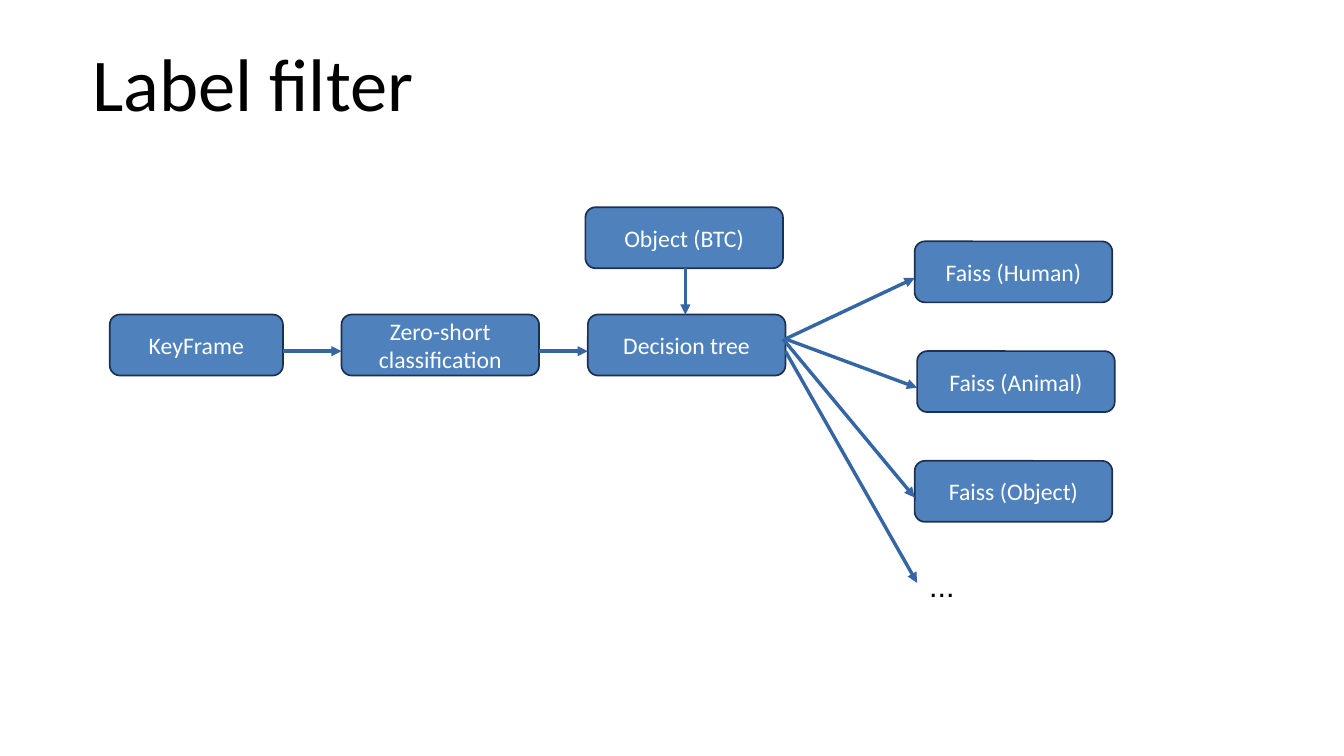
import pptx
import pptx.util
import pptx.dml.color
import pptx.enum.shapes
import pptx.enum.text
import pptx.oxml.ns
import lxml.etree

Inches = pptx.util.Inches
Pt = pptx.util.Pt
RGBColor = pptx.dml.color.RGBColor
ANCHOR = pptx.enum.text.MSO_ANCHOR
qn = pptx.oxml.ns.qn

BLACK = RGBColor(0x00, 0x00, 0x00)
WHITE = RGBColor(0xFF, 0xFF, 0xFF)
BOX_BLUE = RGBColor(0x4F, 0x81, 0xBD)
BOX_EDGE = RGBColor(0x1C, 0x30, 0x52)
ARROW_BLUE = RGBColor(0x34, 0x65, 0xA4)


class FlowSlide:
    """Holds the diagram style and the slide it is drawn on."""

    font = "Calibri"
    box_height = 0.5

    def __init__(self, slide):
        self.shapes = slide.shapes

    def add_words(self, paragraph, words, size, color, font=None):
        run = paragraph.add_run()
        run.text = words
        run.font.name = font or self.font
        run.font.size = Pt(size)
        run.font.color.rgb = color

    def text(self, words, left, top, width, height, size,
             font=None, wrap=True, anchor=ANCHOR.TOP, spacing=1.0):
        area = self.shapes.add_textbox(
            Inches(left), Inches(top), Inches(width), Inches(height))
        frame = area.text_frame
        frame.word_wrap = wrap
        frame.vertical_anchor = anchor
        frame.paragraphs[0].line_spacing = spacing
        self.add_words(frame.paragraphs[0], words, size, BLACK, font)

    def box(self, words, left, top, width=1.62):
        step = self.shapes.add_shape(
            pptx.enum.shapes.MSO_SHAPE.ROUNDED_RECTANGLE,
            Inches(left), Inches(top), Inches(width), Inches(self.box_height))
        step.shadow.inherit = False
        step.fill.solid()
        step.fill.fore_color.rgb = BOX_BLUE
        step.line.color.rgb = BOX_EDGE
        step.line.width = Pt(1)
        frame = step.text_frame
        frame.word_wrap = True
        frame.vertical_anchor = ANCHOR.MIDDLE
        frame.paragraphs[0].alignment = pptx.enum.text.PP_ALIGN.CENTER
        self.add_words(frame.paragraphs[0], words, 14, WHITE)

    def arrow(self, x1, y1, x2, y2):
        link = self.shapes.add_connector(
            pptx.enum.shapes.MSO_CONNECTOR.STRAIGHT,
            Inches(x1), Inches(y1), Inches(x2), Inches(y2))
        link.line.color.rgb = ARROW_BLUE
        link.line.width = Pt(0)  # hairline
        properties = link._element.spPr
        outline = properties.find(qn("a:ln"))
        lxml.etree.SubElement(outline, qn("a:tailEnd"), type="triangle")
        lxml.etree.SubElement(properties, qn("a:effectLst"))


def main():
    deck = pptx.Presentation()
    deck.slide_width = Inches(11.02)
    deck.slide_height = Inches(6.2)
    flow = FlowSlide(deck.slides.add_slide(deck.slide_layouts[6]))

    # Title
    flow.text("Label filter", 0.66, 0.12, 9.51, 1.2, 44,
              anchor=ANCHOR.MIDDLE, spacing=0.9)

    # Main row, with the object input above the decision tree
    row_top = 2.58
    flow.box("KeyFrame", 0.9, row_top, width=1.42)
    flow.box("Zero-short classification", 2.8, row_top)
    flow.box("Object (BTC)", 4.8, 1.7)
    flow.box("Decision tree", 4.82, row_top)

    # Indexes fed by the decision tree
    index_top, index_pitch = 1.98, 0.9
    indexes = [("Human", 7.5), ("Animal", 7.52), ("Object", 7.5)]
    for row, (label, left) in enumerate(indexes):
        flow.box(f"Faiss ({label})", left, index_top + row * index_pitch)
    flow.text("...", 7.52, 4.6, 0.41, 0.38, 18, font="Arial", wrap=False)

    # Arrows fanning out from the decision tree
    starts = [(6.44, 2.78), (6.44, 2.78), (6.42, 2.78)]
    for row, (start, (label, left)) in enumerate(zip(starts, indexes)):
        flow.arrow(*start, left, index_top + 0.3 + row * index_pitch)
    flow.arrow(6.44, 2.88, 7.52, 4.78)

    # Arrows into the main row
    row_axis = row_top + 0.3
    flow.arrow(2.32, row_axis, 2.8, row_axis)
    flow.arrow(4.42, row_axis, 4.82, row_axis)
    flow.arrow(5.62, 2.2, 5.62, row_top)

    deck.save("out.pptx")


if __name__ == "__main__":
    main()
